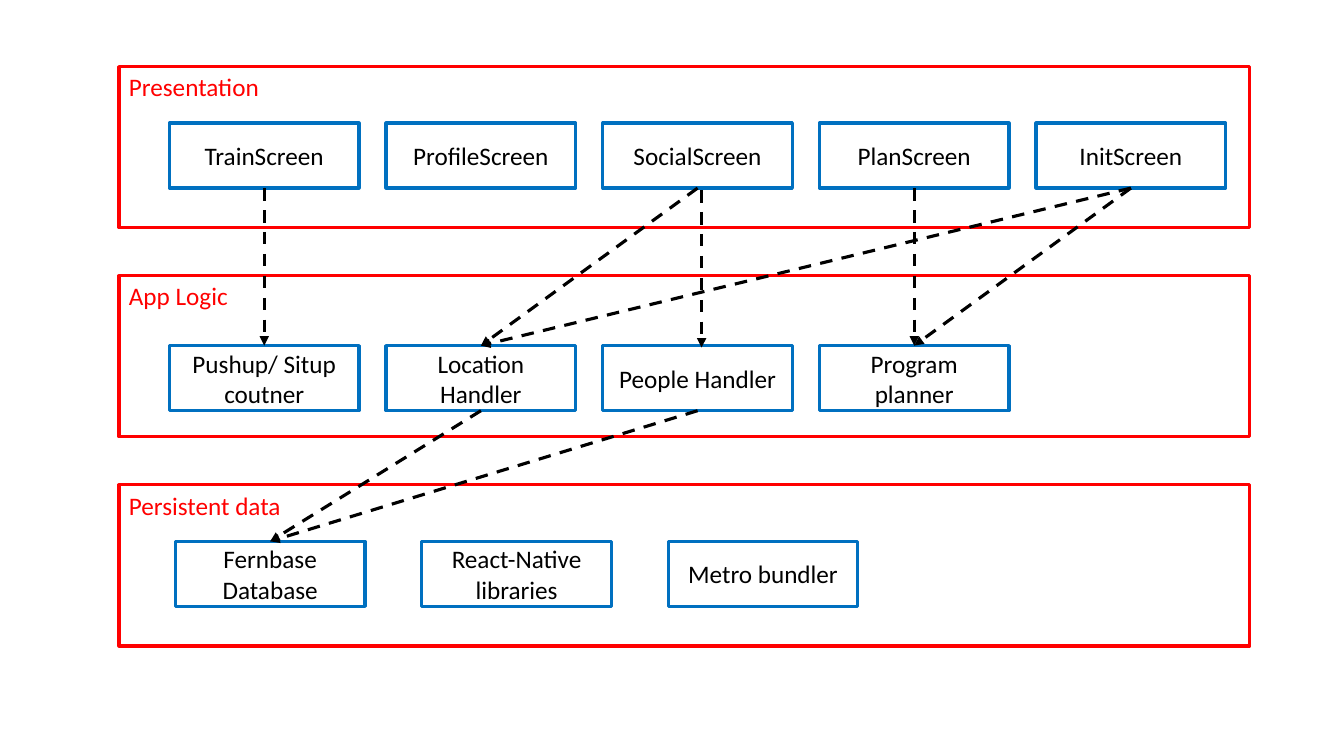
from dataclasses import dataclass

import pptx
import pptx.dml.color
import pptx.enum.dml
import pptx.enum.shapes
import pptx.enum.text
import pptx.oxml
import pptx.oxml.ns
import pptx.shapes.autoshape
import pptx.slide
import pptx.text.text
import pptx.util
from pptx.dml.color import RGBColor
from pptx.util import Cm

RED = RGBColor(0xFF, 0x00, 0x00)
BLUE = RGBColor(0x00, 0x70, 0xC0)
BLACK = RGBColor(0x00, 0x00, 0x00)

FONT_NAME = "Calibri"
FONT_SIZE = pptx.util.Pt(18)
LINE_WIDTH = pptx.util.Pt(2.25)

LAYER_LEFT, LAYER_TOP = 3.0, 1.68
LAYER_WIDTH, LAYER_HEIGHT, LAYER_PITCH = 28.5, 4.06, 5.27
LABEL_HEIGHT = 1.02
BOX_WIDTH, BOX_HEIGHT = 4.78, 1.64
TOP_SITE, BOTTOM_SITE = 0, 2


@dataclass(frozen=True)
class Layer:
    title: str
    title_width: float
    first_left: float
    box_pitch: float
    box_offset: float
    boxes: tuple[str, ...]


@dataclass(frozen=True)
class Dependency:
    source: str
    target: str
    shift_right: float = 0
    shift_down: float = 0


LAYERS = (
    Layer("Presentation", 3.84, 4.27, 5.46, 1.42,
          ("TrainScreen", "ProfileScreen", "SocialScreen", "PlanScreen", "InitScreen")),
    Layer("App Logic", 3.05, 4.27, 5.46, 1.76,
          ("Pushup/ Situp coutner", "Location Handler", "People Handler", "Program planner")),
    Layer("Persistent data", 4.37, 4.42, 6.21, 1.42,
          ("Fernbase Database", "React-Native libraries", "Metro bundler")),
)

DEPENDENCIES = (
    Dependency("PlanScreen", "Program planner"),
    Dependency("SocialScreen", "People Handler", 0.1, 0.05),
    Dependency("SocialScreen", "Location Handler"),
    Dependency("InitScreen", "Location Handler"),
    Dependency("InitScreen", "Program planner"),
    Dependency("Location Handler", "Fernbase Database"),
    Dependency("People Handler", "Fernbase Database"),
    Dependency("TrainScreen", "Pushup/ Situp coutner"),
)


def write_text(frame: pptx.text.text.TextFrame, text: str, color: RGBColor) -> None:
    frame.text = text
    font = frame.paragraphs[0].font
    font.name = FONT_NAME
    font.size = FONT_SIZE
    font.color.rgb = color


def add_outline(slide: pptx.slide.Slide, left: float, top: float, width: float,
                height: float, color: RGBColor) -> pptx.shapes.autoshape.Shape:
    shape = slide.shapes.add_shape(
        pptx.enum.shapes.MSO_SHAPE.RECTANGLE, Cm(left), Cm(top), Cm(width), Cm(height))
    shape.shadow.inherit = False
    shape.fill.background()
    shape.line.color.rgb = color
    shape.line.width = LINE_WIDTH
    return shape


def add_box(slide: pptx.slide.Slide, text: str, left: float,
            top: float) -> pptx.shapes.autoshape.Shape:
    shape = add_outline(slide, left, top, BOX_WIDTH, BOX_HEIGHT, BLUE)
    frame = shape.text_frame
    frame.word_wrap = True
    frame.vertical_anchor = pptx.enum.text.MSO_ANCHOR.MIDDLE
    write_text(frame, text, BLACK)
    frame.paragraphs[0].alignment = pptx.enum.text.PP_ALIGN.CENTER
    return shape


def add_layer(slide: pptx.slide.Slide, layer: Layer,
              top: float) -> dict[str, pptx.shapes.autoshape.Shape]:
    add_outline(slide, LAYER_LEFT, top, LAYER_WIDTH, LAYER_HEIGHT, RED)
    label = slide.shapes.add_textbox(
        Cm(LAYER_LEFT), Cm(top), Cm(layer.title_width), Cm(LABEL_HEIGHT))
    label.text_frame.word_wrap = False
    label.text_frame.auto_size = pptx.enum.text.MSO_AUTO_SIZE.SHAPE_TO_FIT_TEXT
    write_text(label.text_frame, layer.title, RED)
    return {
        text: add_box(slide, text, layer.first_left + column * layer.box_pitch,
                      top + layer.box_offset)
        for column, text in enumerate(layer.boxes)
    }


def add_arrow(slide: pptx.slide.Slide, dependency: Dependency,
              boxes: dict[str, pptx.shapes.autoshape.Shape]) -> None:
    source, target = boxes[dependency.source], boxes[dependency.target]
    right, down = Cm(dependency.shift_right), Cm(dependency.shift_down)
    connector = slide.shapes.add_connector(
        pptx.enum.shapes.MSO_CONNECTOR.STRAIGHT,
        source.left + source.width // 2 + right, source.top + source.height + down,
        target.left + target.width // 2 + right, target.top + down)
    if not (right or down):
        connector.begin_connect(source, BOTTOM_SITE)
        connector.end_connect(target, TOP_SITE)
    connector.line.color.rgb = BLACK
    connector.line.width = LINE_WIDTH
    connector.line.dash_style = pptx.enum.dml.MSO_LINE.DASH
    namespace = pptx.oxml.ns.nsdecls("a")
    properties = connector.line._get_or_add_ln()
    properties.append(pptx.oxml.parse_xml(f'<a:tailEnd {namespace} type="triangle"/>'))
    properties.getparent().append(pptx.oxml.parse_xml(f"<a:effectLst {namespace}/>"))


def main() -> None:
    presentation = pptx.Presentation()
    presentation.slide_width = Cm(33.87)
    presentation.slide_height = Cm(19.05)
    slide = presentation.slides.add_slide(presentation.slide_layouts[6])
    boxes: dict[str, pptx.shapes.autoshape.Shape] = {}
    for row, layer in enumerate(LAYERS):
        boxes.update(add_layer(slide, layer, LAYER_TOP + row * LAYER_PITCH))
    for dependency in DEPENDENCIES:
        add_arrow(slide, dependency, boxes)
    presentation.save("out.pptx")


if __name__ == "__main__":
    main()
